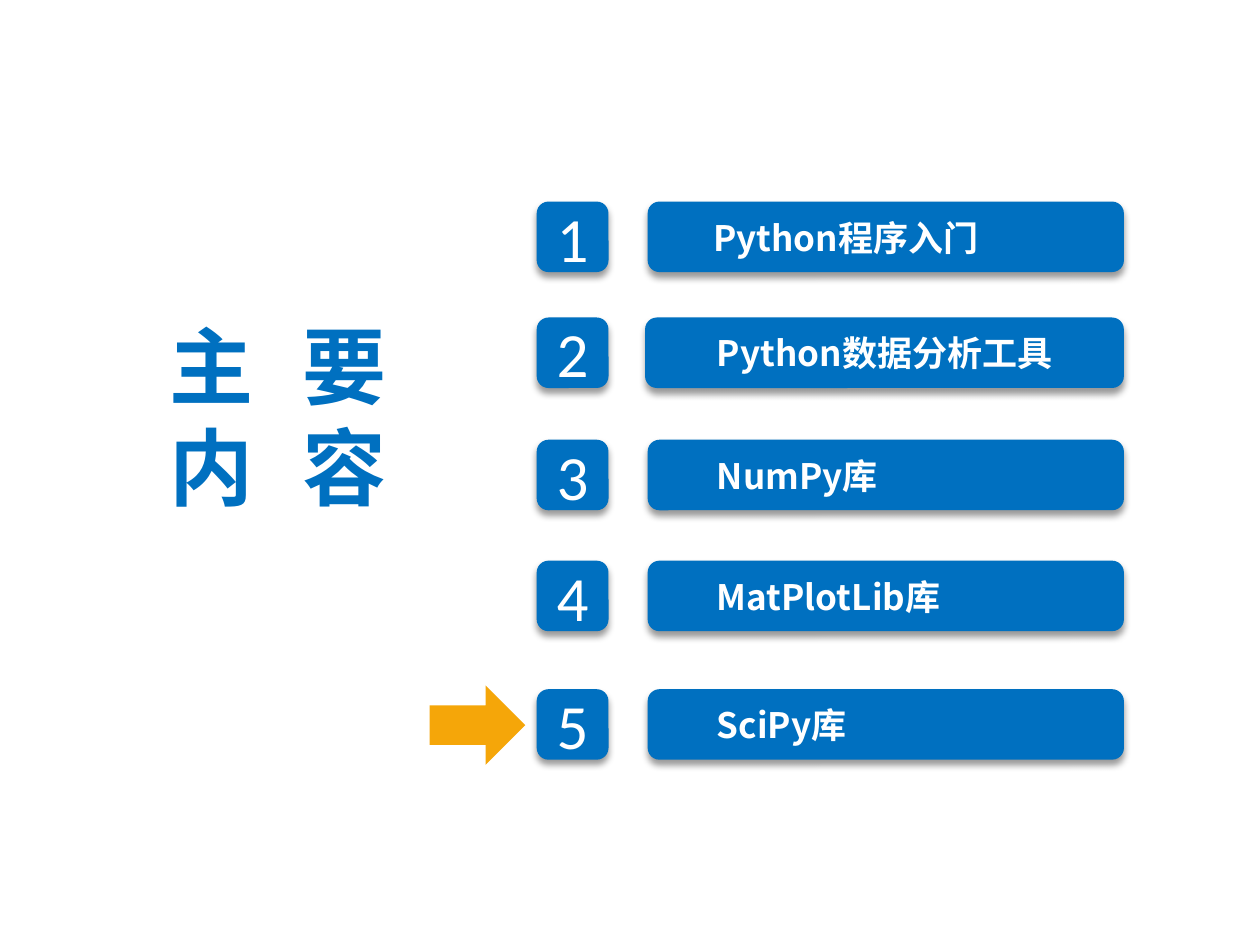
from lxml import etree
from pptx import Presentation
from pptx.dml.color import RGBColor
from pptx.enum.shapes import MSO_SHAPE as Shape
from pptx.enum.text import MSO_ANCHOR as Anchor, PP_ALIGN as Align
from pptx.oxml import parse_xml
from pptx.oxml.ns import nsdecls, qn
from pptx.util import Inches, Pt

BLUE = RGBColor(0x00, 0x70, 0xC0)
ORANGE = RGBColor(0xF5, 0xA6, 0x09)
WHITE = RGBColor(0xFF, 0xFF, 0xFF)
CJK_FONT = "Noto Sans CJK SC"
SHADOW = (
    f'<a:effectLst {nsdecls("a")}>'
    f'<a:outerShdw blurRad="{Pt(4)}" dist="{Pt(3)}" dir="5400000" rotWithShape="0">'
    '<a:srgbClr val="000000"><a:alpha val="40000"/></a:srgbClr>'
    "</a:outerShdw></a:effectLst>"
)


def write(frame, text, size, color, font=CJK_FONT, bold=True, align=Align.LEFT,
          anchor=Anchor.TOP, wrap=True, spacing=0):
    """Fill a frame, one paragraph per line; spacing (points) widens all but the last letter."""
    frame.word_wrap = wrap
    frame.vertical_anchor = anchor
    frame.margin_left = frame.margin_right = Inches(0.13)
    frame.margin_top = frame.margin_bottom = Inches(0.07)
    for index, line in enumerate(text.split("\n")):
        paragraph = frame.add_paragraph() if index else frame.paragraphs[0]
        paragraph.alignment = align
        for part in ([line[:-1], line[-1]] if spacing else [line]):
            run = paragraph.add_run()
            run.text = part
            run.font.size = Pt(size)
            run.font.bold = bold
            run.font.color.rgb = color
            run.font.name = font
            properties = run.font._element
            etree.SubElement(properties, qn("a:ea")).set("typeface", font)
            if spacing and part != line[-1]:
                properties.set("spc", str(round(spacing * 100)))


def add_block(shapes, kind, left, top, width, height, color, shadow=True):
    block = shapes.add_shape(kind, Inches(left), Inches(top), Inches(width), Inches(height))
    block.fill.solid()
    block.fill.fore_color.rgb = color
    block.line.fill.background()
    block.shadow.inherit = False
    if shadow:
        properties = block._element.spPr
        properties.replace(properties.find(qn("a:effectLst")), parse_xml(SHADOW))
    return block


prs = Presentation()
prs.slide_width, prs.slide_height = Inches(10), Inches(7.5)
slide = prs.slides.add_slide(prs.slide_layouts[6])

heading = slide.shapes.add_textbox(Inches(0.33), Inches(2.43), Inches(3.75), Inches(1.75))
write(heading.text_frame, "主 要\n内 容", 48, BLUE, align=Align.CENTER, spacing=8.6)

BAR_RIGHT = 8.92
ROW_HEIGHT = 0.56
# title, top, bar left, title left, title width
chapters = [
    ("Python程序入门", 1.6, 5.14, 5.53, 3.23),
    ("Python数据分析工具", 2.52, 5.12, 5.56, 3.72),
    ("NumPy库", 3.49, 5.14, 5.56, 3.36),
    ("MatPlotLib库", 4.45, 5.14, 5.56, 3.2),
    ("SciPy库", 5.47, 5.14, 5.56, 3.2),
]
for number, (title, top, bar_left, title_left, title_width) in enumerate(chapters, 1):
    badge = add_block(slide.shapes, Shape.ROUNDED_RECTANGLE, 4.26, top, 0.57, ROW_HEIGHT, BLUE)
    write(badge.text_frame, str(number), 36, WHITE, font="Calibri", bold=False,
          align=Align.CENTER, anchor=Anchor.MIDDLE)

    chapter = slide.shapes.add_group_shape()
    add_block(chapter.shapes, Shape.ROUNDED_RECTANGLE, bar_left, top,
              BAR_RIGHT - bar_left, ROW_HEIGHT, BLUE)
    label = chapter.shapes.add_textbox(Inches(title_left), Inches(top + 0.045),
                                       Inches(title_width), Inches(0.47))
    write(label.text_frame, title, 20, WHITE)

add_block(slide.shapes, Shape.RIGHT_ARROW, 3.41, 5.44, 0.76, 0.63, ORANGE, shadow=False)

prs.save("out.pptx")
